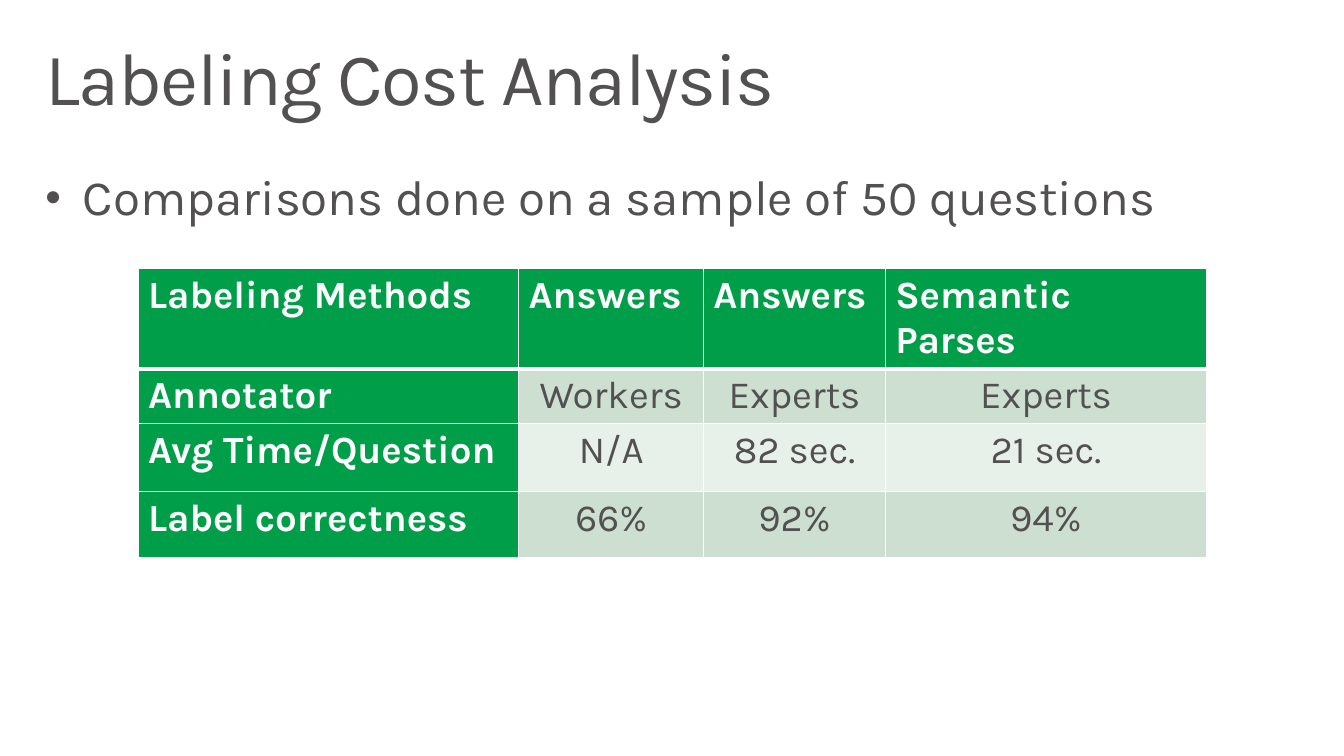
from lxml import etree
from pptx import Presentation
from pptx import util as u
from pptx.dml.color import RGBColor
from pptx.enum import text
from pptx.oxml import ns

# Content
TITLE = "Labeling Cost Analysis"
BULLET = "Comparisons done on a sample of 50 questions"
ROWS = [
    ("Labeling Methods", "Answers", "Answers", "Semantic Parses"),
    ("Annotator", "Workers", "Experts", "Experts"),
    ("Avg Time/Question", "N/A", "82 sec.", "21 sec."),
    ("Label correctness", "66%", "92%", "94%"),
]

# Layout and colours
COL_WIDTHS = (3.85, 1.87, 1.84, 3.25)
ROW_HEIGHTS = (0.97, 0.54, 0.69, 0.67)
TITLE_BOX = (0.3, 0.32, 13, 1)
BULLET_BOX = (0.3, 1.65, 13, 0.75)
TABLE_BOX = (1.4, 2.72, sum(COL_WIDTHS), sum(ROW_HEIGHTS))
GREEN, GRAY, WHITE = "009E49", "525051", "FFFFFF"
BANDS = ("E7F0E9", "CCDFD0")
INSETS = dict(margin_left=u.Inches(0.16), margin_right=u.Inches(0.16),
              margin_top=u.Inches(0.1), margin_bottom=u.Inches(0.1),
              word_wrap=True, auto_size=text.MSO_AUTO_SIZE.NONE)


def rgb(value):
    return RGBColor.from_string(value)


def inches(values):
    return [u.Inches(v) for v in values]


def apply(obj, values):
    for name, value in values.items():
        setattr(obj, name, value)


def write(p, words, size, color, bold=False):
    r = p.add_run()
    r.text = words
    apply(r.font, dict(name="Karla", size=u.Pt(size), bold=bold))
    r.font.color.rgb = rgb(color)
    return r


def add_borders(cell, widths):
    tc_pr = cell._tc.get_or_add_tcPr()
    for side, width in widths.items():
        ln = etree.SubElement(tc_pr, ns.qn(f"a:ln{side}"), w=str(u.Pt(width)))
        fill = etree.SubElement(ln, ns.qn("a:solidFill"))
        etree.SubElement(fill, ns.qn("a:srgbClr"), val=WHITE)


def place(sp, box):
    apply(sp, dict(zip(("left", "top", "width", "height"), inches(box))))


prs = Presentation()
prs.slide_width, prs.slide_height = inches((13.6, 7.65))
s = prs.slides.add_slide(prs.slide_layouts[5])

# Title
title = s.shapes.title
place(title, TITLE_BOX)
tf = title.text_frame
apply(tf, INSETS | dict(vertical_anchor=text.MSO_ANCHOR.MIDDLE))
p = tf.paragraphs[0]
apply(p, dict(alignment=text.PP_ALIGN.LEFT, line_spacing=0.9))
r = write(p, TITLE, 54, GRAY)
r.font._element.set("spc", "-100")

# Bullet line
tf = s.shapes.add_textbox(*inches(BULLET_BOX)).text_frame
apply(tf, INSETS)
p = tf.paragraphs[0]
p.line_spacing = 0.9
p_pr = p._p.get_or_add_pPr()
p_pr.set("marL", str(u.Inches(0.38)))
p_pr.set("indent", str(-u.Inches(0.38)))
etree.SubElement(p_pr, ns.qn("a:buSzPct"), val="90000")
etree.SubElement(p_pr, ns.qn("a:buFont"), typeface="Arial")
etree.SubElement(p_pr, ns.qn("a:buChar"), char="•")
write(p, BULLET, 36, GRAY)

# Table
table = s.shapes.add_table(len(ROWS), len(COL_WIDTHS), *inches(TABLE_BOX)).table
for col, width in zip(table.columns, inches(COL_WIDTHS)):
    col.width = width
for row, height in zip(table.rows, inches(ROW_HEIGHTS)):
    row.height = height

for i, values in enumerate(ROWS):
    for j, value in enumerate(values):
        cell = table.cell(i, j)
        heading = i == 0 or j == 0
        add_borders(cell, dict(L=1, R=1, T=3 if i == 1 else 1, B=3 if i == 0 else 1))
        cell.fill.solid()
        cell.fill.fore_color.rgb = rgb(GREEN if heading else BANDS[i % 2])
        p = cell.text_frame.paragraphs[0]
        p.alignment = text.PP_ALIGN.LEFT if heading else text.PP_ALIGN.CENTER
        write(p, value, 28, WHITE if heading else GRAY, heading)

prs.save("out.pptx")
